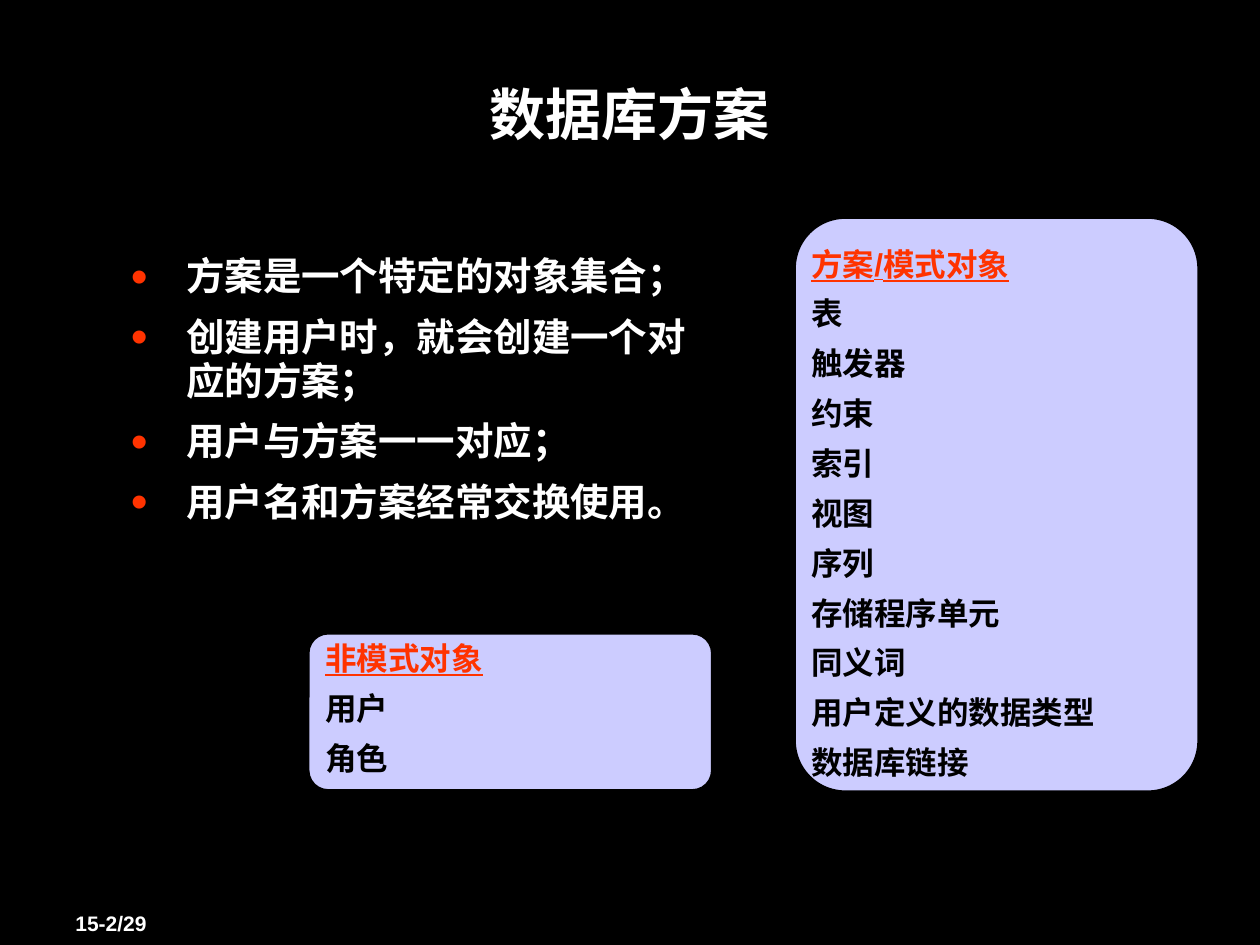
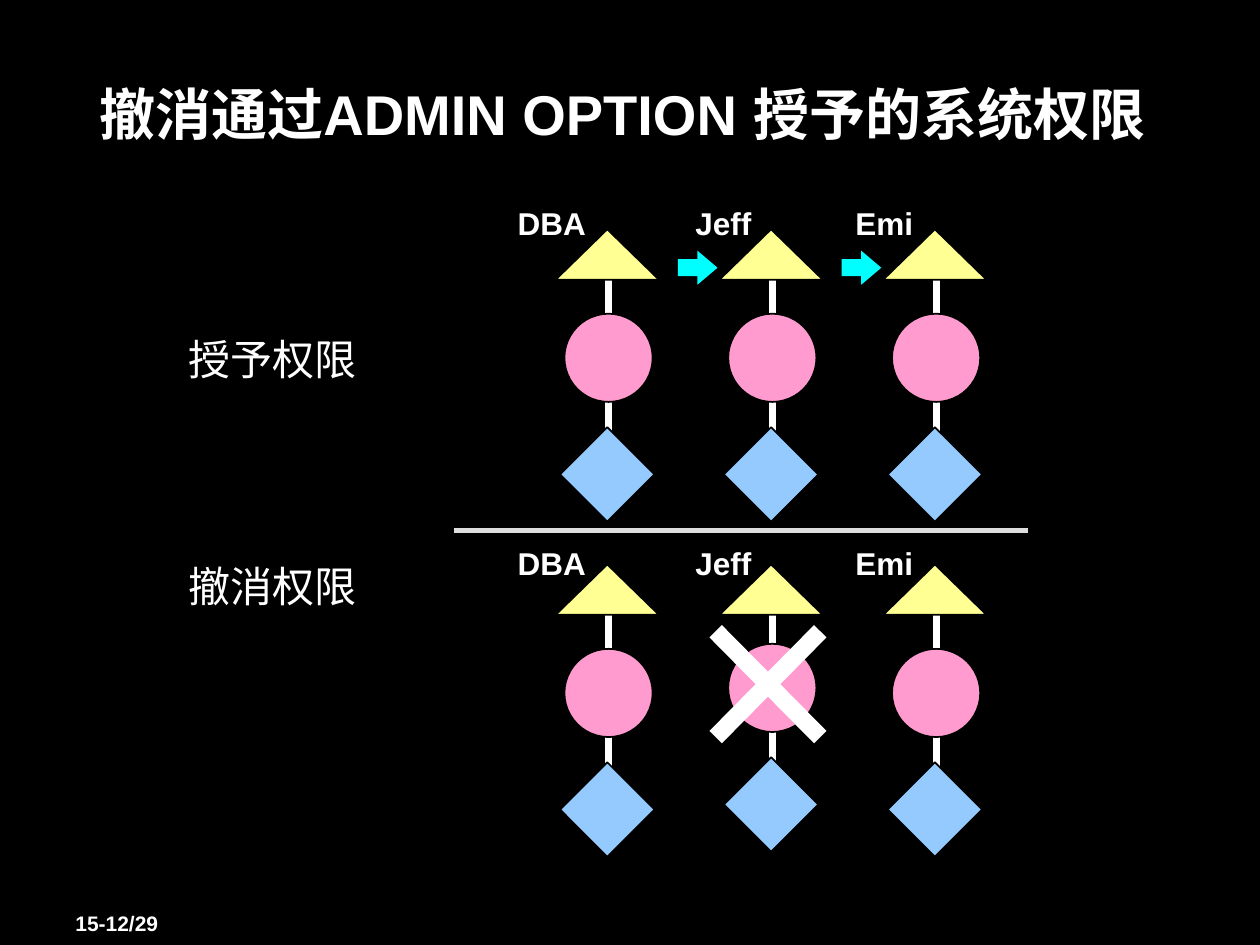
from dataclasses import dataclass

from lxml.etree import SubElement
from pptx import Presentation
from pptx.dml.color import RGBColor
from pptx.enum.shapes import MSO_CONNECTOR, MSO_SHAPE
from pptx.enum.text import MSO_ANCHOR, PP_ALIGN
from pptx.oxml.ns import qn
from pptx.util import Inches, Pt


@dataclass(frozen=True)
class Theme:
    background: str = "000000"
    text: str = "FFFFFF"
    dark: str = "000000"
    accent: str = "FF3300"
    panel: str = "CCCCFF"
    triangle: str = "FFFF93"
    circle: str = "FF9BCE"
    diamond: str = "95CAFF"
    arrow: str = "00FFFF"
    divider: str = "DDDDDD"
    font: str = "Arial"
    label_font: str = "Times New Roman"
    title_size: int = 32
    label_size: int = 24
    bullet_size: int = 22
    body_size: int = 18
    footer_size: int = 12


COLUMNS, ROWS = 100, 75
COLUMN_WIDTH, ROW_HEIGHT = Inches(10) / COLUMNS, Inches(7.5) / ROWS


class Deck:
    def __init__(self, theme):
        self.theme = theme
        self.presentation = Presentation()
        self.presentation.slide_width = round(COLUMNS * COLUMN_WIDTH)
        self.presentation.slide_height = round(ROWS * ROW_HEIGHT)
        self.slide = None

    def place(self, column, row):
        return round(column * COLUMN_WIDTH), round(row * ROW_HEIGHT)

    def color(self, name):
        return RGBColor.from_string(getattr(self.theme, name))

    def add_slide(self, title, number, title_left=10.1, title_width=79.8):
        self.slide = self.presentation.slides.add_slide(self.presentation.slide_layouts[6])
        self.slide.background.fill.solid()
        self.slide.background.fill.fore_color.rgb = self.color("background")
        self.text([number], 5, 71.8, 10.5, 5, self.theme.footer_size)
        heading = self.text([title], title_left, 5.8, title_width, 9.6, self.theme.title_size)
        heading[0].alignment = PP_ALIGN.CENTER

    def text(self, lines, left, top, width, height, size, color="text",
             font=None, bold=True, wrap=True, spacing=None, gap=0, inset=0.1):
        box = self.slide.shapes.add_textbox(*self.place(left, top), *self.place(width, height))
        frame = box.text_frame
        frame.word_wrap = wrap
        frame.vertical_anchor = MSO_ANCHOR.TOP
        frame.margin_left = frame.margin_right = Inches(inset)
        frame.text = "\n".join(lines)
        for index, paragraph in enumerate(frame.paragraphs):
            paragraph.line_spacing = spacing
            if index and gap:
                paragraph.space_before = Pt(gap)
            paragraph.font.name = font or self.theme.font
            paragraph.font.size = Pt(size)
            paragraph.font.bold = bold
            paragraph.font.color.rgb = self.color(color)
        return frame.paragraphs

    def bullets(self, lines, left, top, width, height):
        paragraphs = self.text(lines, left, top, width, height, self.theme.bullet_size,
                               spacing=0.95, gap=9.6)
        for paragraph in paragraphs:
            properties = paragraph._p.get_or_add_pPr()
            properties.set("marL", str(Inches(0.44)))
            properties.set("indent", str(-Inches(0.44)))
            defaults = properties.find(qn("a:defRPr"))
            tint = SubElement(properties, qn("a:buClr"))
            SubElement(tint, qn("a:srgbClr"), val=self.theme.accent)
            SubElement(properties, qn("a:buSzPct"), val="125000")
            SubElement(properties, qn("a:buFont"), typeface=self.theme.font)
            SubElement(properties, qn("a:buChar"), char="•")
            properties.append(defaults)

    def shape(self, kind, left, top, width, height, fill, outlined=True):
        shape = self.slide.shapes.add_shape(
            kind, *self.place(left, top), *self.place(width, height))
        shape.shadow.inherit = False
        shape.fill.solid()
        shape.fill.fore_color.rgb = self.color(fill)
        if outlined:
            shape.line.color.rgb = self.color("dark")
            shape.line.width = Pt(1)
        else:
            shape.line.fill.background()
        return shape

    def line(self, start, end, width, color="text"):
        connector = self.slide.shapes.add_connector(
            MSO_CONNECTOR.STRAIGHT, *self.place(*start), *self.place(*end))
        connector.line.color.rgb = self.color(color)
        connector.line.width = Pt(width)
        SubElement(connector._element.spPr, qn("a:effectLst"))

    def panel(self, lines, left, top, height, text_top):
        card = self.shape(MSO_SHAPE.ROUNDED_RECTANGLE, left, top, 32, height, "panel")
        card.adjustments[0] = 0.125
        heading, *_ = self.text(lines, left + 0.4, text_top, 30.3, top + height - text_top,
                                self.theme.body_size, "dark", spacing=0.8, gap=11.2, inset=0.09)
        heading.font.color.rgb = self.color("accent")
        heading.font.underline = True

    def label(self, words, row):
        self.text([words], 14, row, 15.4, 5, self.theme.label_size,
                  font=self.theme.label_font, bold=False, wrap=False)

    def user(self, left, top, drop=0):
        stem = left + 4.2
        self.line((stem, top + 1.9 + drop), (stem, top + 18.3 + drop), 4)
        self.shape(MSO_SHAPE.ISOSCELES_TRIANGLE, left, top, 8.2, 4, "triangle")
        self.shape(MSO_SHAPE.OVAL, left + 0.7, top + 6.7 + drop, 7, 7, "circle")
        self.shape(MSO_SHAPE.DIAMOND, left + 0.35, top + 15.7 + drop, 7.5, 7.5, "diamond")


USERS = {"DBA": (40.1, 7.7), "Jeff": (54.2, 6.5), "Emi": (66.9, 6.7)}
USER_LEFT, USER_PITCH = 44.1, 13


def schema_slide(deck):
    deck.add_slide("数据库方案", "15-2/29")
    deck.panel(["方案/模式对象", "表", "触发器", "约束", "索引", "视图", "序列",
                "存储程序单元", "同义词", "用户定义的数据类型", "数据库链接"],
               63.1, 17.3, 45.5, 19.5)
    deck.bullets(["方案是一个特定的对象集合；", "创建用户时，就会创建一个对应的方案；",
                  "用户与方案一一对应；", "用户名和方案经常交换使用。"],
                 9.4, 19.8, 47.3, 22.5)
    deck.panel(["非模式对象", "用户", "角色"], 24.5, 50.3, 12.4, 50.8)


def revoke_slide(deck):
    deck.add_slide("撤消通过ADMIN OPTION 授予的系统权限", "15-12/29", 2.6, 93.6)
    for action, label_row, name_row, user_row, revoked in (
            ("授予权限", 26, 15.7, 18.2, None),
            ("撤消权限", 44, 42.7, 44.8, "Jeff")):
        deck.label(action, label_row)
        for index, (name, (name_left, name_width)) in enumerate(USERS.items()):
            deck.user(USER_LEFT + index * USER_PITCH, user_row,
                      drop=-0.4 if name == revoked else 0)
            deck.text([name], name_left, name_row, name_width, 4, deck.theme.body_size)
    for index in range(len(USERS) - 1):
        grant = deck.shape(MSO_SHAPE.RIGHT_ARROW, 53.8 + index * USER_PITCH, 19.9,
                           3.15, 2.7, "arrow", outlined=False)
        grant.adjustments[1] = 0.59
    deck.line((36, 42.1), (81.6, 42.1), 3, "divider")
    for start, end in ((56.8, 65.1), (65.1, 56.8)):
        deck.line((start, 50.1), (end, 58.5), 10)


def main():
    deck = Deck(Theme())
    schema_slide(deck)
    revoke_slide(deck)
    deck.presentation.save("out.pptx")


if __name__ == "__main__":
    main()
